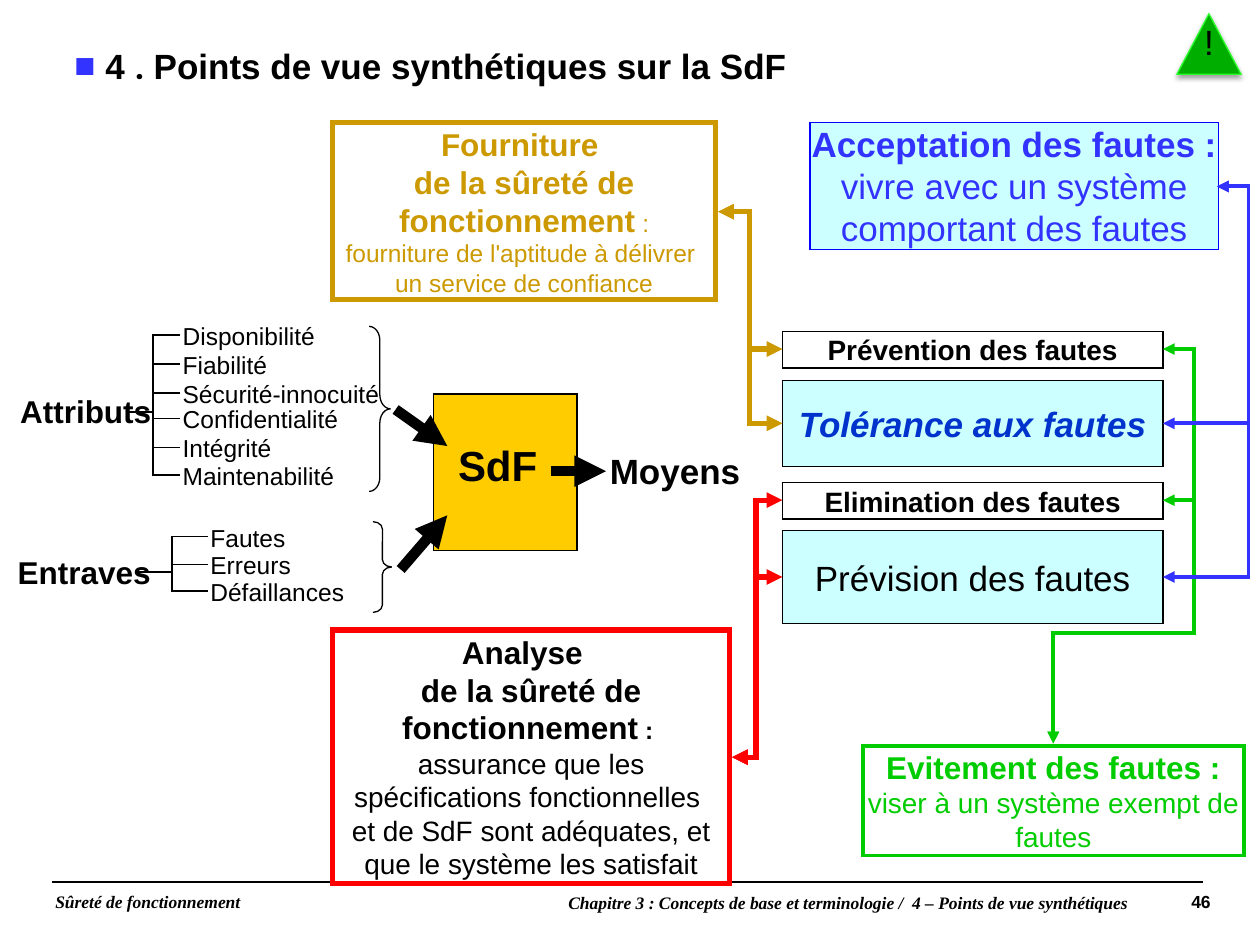
from lxml.etree import SubElement
from pptx import Presentation
from pptx.dml.color import RGBColor
from pptx.enum.shapes import MSO_CONNECTOR, MSO_SHAPE
from pptx.enum.text import MSO_ANCHOR, PP_ALIGN
from pptx.oxml.ns import qn
from pptx.util import Cm, Pt

STRAIGHT, ELBOW = MSO_CONNECTOR.STRAIGHT, MSO_CONNECTOR.ELBOW
RECTANGLE, BRACE, TRAPEZOID = MSO_SHAPE.RECTANGLE, MSO_SHAPE.RIGHT_BRACE, MSO_SHAPE.TRAPEZOID
TOP, MIDDLE = MSO_ANCHOR.TOP, MSO_ANCHOR.MIDDLE
LEFT, CENTER, RIGHT = PP_ALIGN.LEFT, PP_ALIGN.CENTER, PP_ALIGN.RIGHT

BLACK, GOLD, RED, GREEN, BLUE = "000000", "CC9900", "FF0000", "00CC00", "3333FF"
PALE = "CCFFFF"
SERIF = "Times New Roman"


def length(inches):
    """The layout grid is in inches."""
    return Cm(inches * 2.54)


def color(hex_string):
    return RGBColor.from_string(hex_string)


def add_xml(parent, tag, **attributes):
    return SubElement(parent, qn(tag), {name: str(value) for name, value in attributes.items()})


def add_run(paragraph, text, size=14, font="Arial", hue=BLACK, bold=False, italic=False):
    for index, line in enumerate(text.split("\n")):
        if index:
            paragraph.add_line_break()
        run = paragraph.add_run()
        run.text = line
        run.font.size, run.font.name = Pt(size), font
        run.font.bold, run.font.italic = bold, italic
        run.font.color.rgb = color(hue)


def write(shape, paragraphs, align=LEFT, anchor=MIDDLE, inset=(0.02, 0.01), wrap=False,
          spacing=None, **run_format):
    """Each paragraph is a list of (text, own format); run_format is shared by all runs."""
    frame = shape.text_frame
    frame.word_wrap, frame.vertical_anchor = wrap, anchor
    frame.margin_left = frame.margin_right = length(inset[0])
    frame.margin_top = frame.margin_bottom = length(inset[1])
    for index, runs in enumerate(paragraphs):
        paragraph = frame.add_paragraph() if index else frame.paragraphs[0]
        paragraph.alignment = align
        if spacing:
            paragraph.line_spacing = spacing
        for text, own_format in runs:
            add_run(paragraph, text, **{**run_format, **own_format})
    return frame.paragraphs[0]


def add_text(shapes, box, text, **text_format):
    textbox = shapes.add_textbox(*map(length, box))
    paragraphs = [[(text, {})]] if isinstance(text, str) else text
    return write(textbox, paragraphs, **text_format)


def add_shape(shapes, kind, box, line, width, fill=None, adjustments=()):
    shape = shapes.add_shape(kind, *map(length, box))
    shape.shadow.inherit = False
    shape.line.color.rgb, shape.line.width = color(line), Pt(width)
    add_xml(shape._element.spPr.find(qn("a:ln")), "a:miter", lim=800000)
    if fill:
        shape.fill.solid()
        shape.fill.fore_color.rgb = color(fill)
    else:
        shape.fill.background()
    for index, value in enumerate(adjustments):
        shape.adjustments[index] = value
    return shape


def add_panel(shapes, box, line, width, paragraphs, fill=None, **text_format):
    panel = add_shape(shapes, RECTANGLE, box, line, width, fill)
    write(panel, paragraphs, align=CENTER, **text_format)


def add_line(shapes, kind, start, end, hue=BLACK, width=0.75, head=False, tail=False):
    connector = shapes.add_connector(kind, *map(length, (*start, *end)))
    connector.line.color.rgb, connector.line.width = color(hue), Pt(width)
    properties = connector._element.spPr
    outline = properties.find(qn("a:ln"))
    add_xml(outline, "a:miter", lim=800000)
    for tag, wanted in (("a:headEnd", head), ("a:tailEnd", tail)):
        if wanted:
            add_xml(outline, tag, type="triangle")
    add_xml(properties, "a:effectLst")
    return properties


def set_bends(properties, preset, ratios):
    geometry = properties.find(qn("a:prstGeom"))
    geometry.set("prst", preset)
    guides = geometry.find(qn("a:avLst"))
    for number, ratio in enumerate(ratios, 1):
        add_xml(guides, "a:gd", name=f"adj{number}", fmla=f"val {round(ratio * 100000)}")


def add_elbow(shapes, start, end, bend_x, **line_format):
    """Runs sideways to bend_x, then vertically, then sideways to the end."""
    properties = add_line(shapes, ELBOW, start, end, **line_format)
    set_bends(properties, "bentConnector3", [(bend_x - start[0]) / (end[0] - start[0])])


def add_rising_elbow(shapes, start, end, bend_x, bend_y, **line_format):
    """Leaves upwards to bend_y, goes out to bend_x, up again and back to the end."""
    across, rise = end[0] - start[0], start[1] - end[1]
    middle_x, middle_y = (start[0] + end[0]) / 2, (start[1] + end[1]) / 2
    properties = add_line(shapes, ELBOW, (middle_x - rise / 2, middle_y - across / 2),
                          (middle_x + rise / 2, middle_y + across / 2), **line_format)
    properties.find(qn("a:xfrm")).set("rot", str(270 * 60000))
    set_bends(properties, "bentConnector4",
              [(start[1] - bend_y) / rise, (bend_x - start[0]) / across])


def add_tree(shapes, title, title_box, root, leaf_x, leaves):
    add_text(shapes, title_box, title, size=18, bold=True)
    for label, y in leaves:
        add_elbow(shapes, root, (leaf_x, y), (root[0] + leaf_x) / 2)
        add_text(shapes, (leaf_x, y - 0.11, 1.7, 0.23), label)


def add_footer(shapes):
    paragraph = add_text(
        shapes, (0.34, 6.99, 9.51, 0.31),
        [[("Sûreté de fonctionnement", {"font": SERIF, "italic": True}),
          ("\t", {"size": 14}), ("46", {})]],
        anchor=TOP, inset=(0.1, 0.05), wrap=True, spacing=0.9, size=10, bold=True)
    tabs = add_xml(paragraph._p.get_or_add_pPr(), "a:tabLst")
    add_xml(tabs, "a:tab", pos=length(9.17), algn="r")
    add_line(shapes, STRAIGHT, (0.41, 7), (9.55, 7), width=1)
    add_text(shapes, (4.46, 7.04, 4.53, 0.25),
             "Chapitre 3 : Concepts de base et terminologie /  4 – Points de vue synthétiques",
             align=RIGHT, anchor=TOP, inset=(0.04, 0.04), size=10, font=SERIF,
             bold=True, italic=True)


def add_title(shapes):
    paragraph = add_text(
        shapes, (0.31, 0.31, 9.69, 0.42),
        [[(" 4 ", {}), (". ", {"font": "Roboto"}), ("Points de vue synthétiques sur la SdF", {})]],
        anchor=TOP, inset=(0.04, 0.04), wrap=True, size=20, bold=True)
    properties = paragraph._p.get_or_add_pPr()
    properties.set("marL", str(length(0.41)))
    properties.set("indent", str(length(-0.17)))
    add_xml(add_xml(properties, "a:buClr"), "a:srgbClr", val=BLUE)
    add_xml(properties, "a:buFont", typeface="Arial")
    add_xml(properties, "a:buChar", char="■")


def add_warning(shapes):
    group = shapes.add_group_shape()
    box = (9.34, 0.11, 0.51, 0.48)
    sign = add_shape(group.shapes, TRAPEZOID, box, "2BFF2B", 0.75, "00AE00", [0.53])
    effects = sign._element.spPr.find(qn("a:effectLst"))
    shadow = add_xml(effects, "a:outerShdw", blurRad=Pt(3.1), dist=Pt(1.6),
                     dir=90 * 60000, rotWithShape=0)
    add_xml(add_xml(shadow, "a:srgbClr", val=BLACK), "a:alpha", val=38000)
    add_text(group.shapes, box, "!", align=CENTER, inset=(0.03, 0.03), wrap=True,
             spacing=0.9, size=20)


def main():
    presentation = Presentation()
    presentation.slide_width, presentation.slide_height = length(10), length(7.5)
    shapes = presentation.slides.add_slide(presentation.slide_layouts[6]).shapes
    add_footer(shapes)

    # Framed viewpoints
    strong, plain = {"size": 18, "bold": True}, {"size": 16}
    viewpoint = {"inset": (0, 0), "wrap": True}
    add_panel(shapes, (2.64, 0.97, 3.04, 1.41), GOLD, 3, [
        [("Fourniture \nde la sûreté de fonctionnement", strong), (" ", {"bold": True}), (":", {})],
        [("fourniture de l'aptitude à délivrer ", {})],
        [("un service de confiance", {})]], hue=GOLD, **viewpoint)
    add_panel(shapes, (2.64, 5, 3.15, 2.01), RED, 3, [
        [("Analyse  \nde la sûreté de fonctionnement", strong), (" : ", {"bold": True})],
        [("assurance que les spécifications fonctionnelles \n"
          "et de SdF sont adéquates, et que le système les satisfait", plain)]], **viewpoint)
    add_panel(shapes, (6.85, 5.92, 3.02, 0.87), GREEN, 2.25, [
        [("Evitement des fautes : ", strong), ("viser à un système exempt de fautes", plain)]],
        hue=GREEN, **viewpoint)
    add_panel(shapes, (6.43, 0.97, 3.24, 1.01), "0000FF", 0.75, [
        [("Acceptation des fautes : ", {"bold": True}),
         ("vivre avec un système comportant des fautes", {})]],
        fill=PALE, size=20, hue=BLUE, **viewpoint)

    # Central concept and its trees
    add_shape(shapes, RECTANGLE, (3.44, 3.13, 1.14, 1.24), BLACK, 1, "FFCC00")
    add_text(shapes, (3.6, 3.52, 0.7, 0.33), "SdF", align=CENTER, wrap=True, size=24, bold=True)
    add_tree(shapes, "Attributs", (0.14, 3.15, 1.3, 0.23), (1, 3.27), 1.43, [
        ("Disponibilité", 2.66), ("Fiabilité", 2.89), ("Sécurité-innocuité", 3.12),
        ("Confidentialité", 3.32), ("Intégrité", 3.55), ("Maintenabilité", 3.77)])
    add_tree(shapes, "Entraves", (0.12, 4.39, 1.3, 0.3), (1.08, 4.54), 1.65, [
        ("Fautes", 4.26), ("Erreurs", 4.48), ("Défaillances", 4.69)])
    add_text(shapes, (4.82, 3.6, 1.3, 0.27), "Moyens", size=20, bold=True)

    # Means
    for label, top, height, fill, label_format in (
            ("Prévention des fautes", 2.63, 0.29, None, {"size": 16, "bold": True}),
            ("Tolérance aux fautes", 3.02, 0.68, PALE,
             {"size": 20, "bold": True, "italic": True, "hue": "0033CC"}),
            ("Elimination des fautes", 3.83, 0.29, None, {"size": 16, "bold": True}),
            ("Prévision des fautes", 4.21, 0.74, PALE, {"size": 20})):
        add_panel(shapes, (6.21, top, 3.02, height), BLACK, 0.75, [[(label, label_format)]], fill)

    # Braces and thick arrows
    add_shape(shapes, BRACE, (2.93, 2.59, 0.17, 1.31), BLACK, 0.75, adjustments=(0.65, 0.5))
    add_shape(shapes, BRACE, (2.96, 4.14, 0.15, 0.72), BLACK, 0.75, adjustments=(0.39, 0.5))
    for start, end in (((3.14, 3.25), (3.55, 3.54)), ((3.18, 4.52), (3.55, 4.09)),
                       ((4.37, 3.74), (4.81, 3.74))):
        add_line(shapes, STRAIGHT, start, end, width=6, tail=True)

    # Links between viewpoints and means
    prevention, tolerance, elimination, prevision = 2.77, 3.36, 3.97, 4.58
    both = {"head": True, "tail": True}
    for target in (elimination, prevention):
        add_rising_elbow(shapes, (8.36, 5.9), (9.23, target), 9.48, 5.02,
                         hue=GREEN, width=2.25, **both)
    for start, end_x, bend_x, targets, hue, width in (
            ((5.7, 1.68), 6.21, 5.95, (tolerance, prevention), GOLD, 3),
            ((5.81, 6.01), 6.21, 6, (prevision, elimination), RED, 3),
            ((9.66, 1.48), 9.23, 9.91, (prevision, tolerance), BLUE, 2.25)):
        for target in targets:
            add_elbow(shapes, start, (end_x, target), bend_x, hue=hue, width=width, **both)

    add_title(shapes)
    add_warning(shapes)
    presentation.save("out.pptx")


if __name__ == "__main__":
    main()
